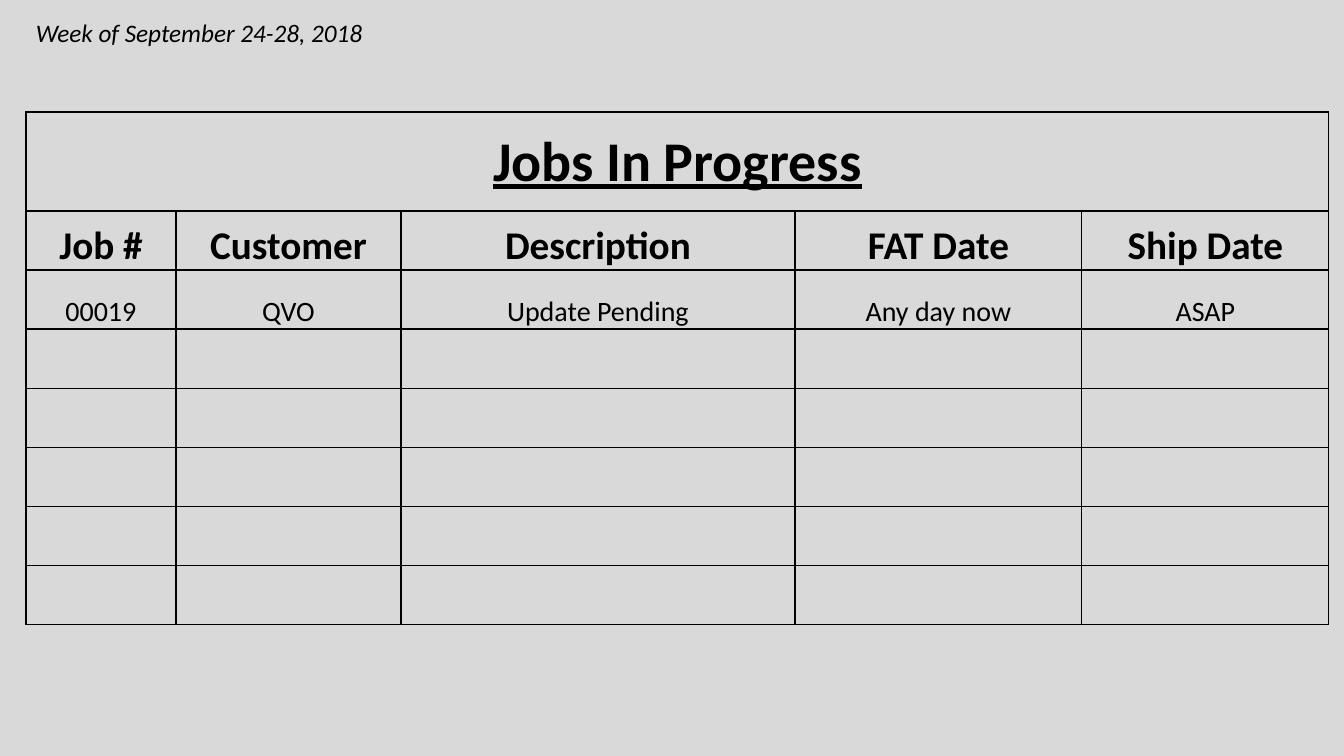
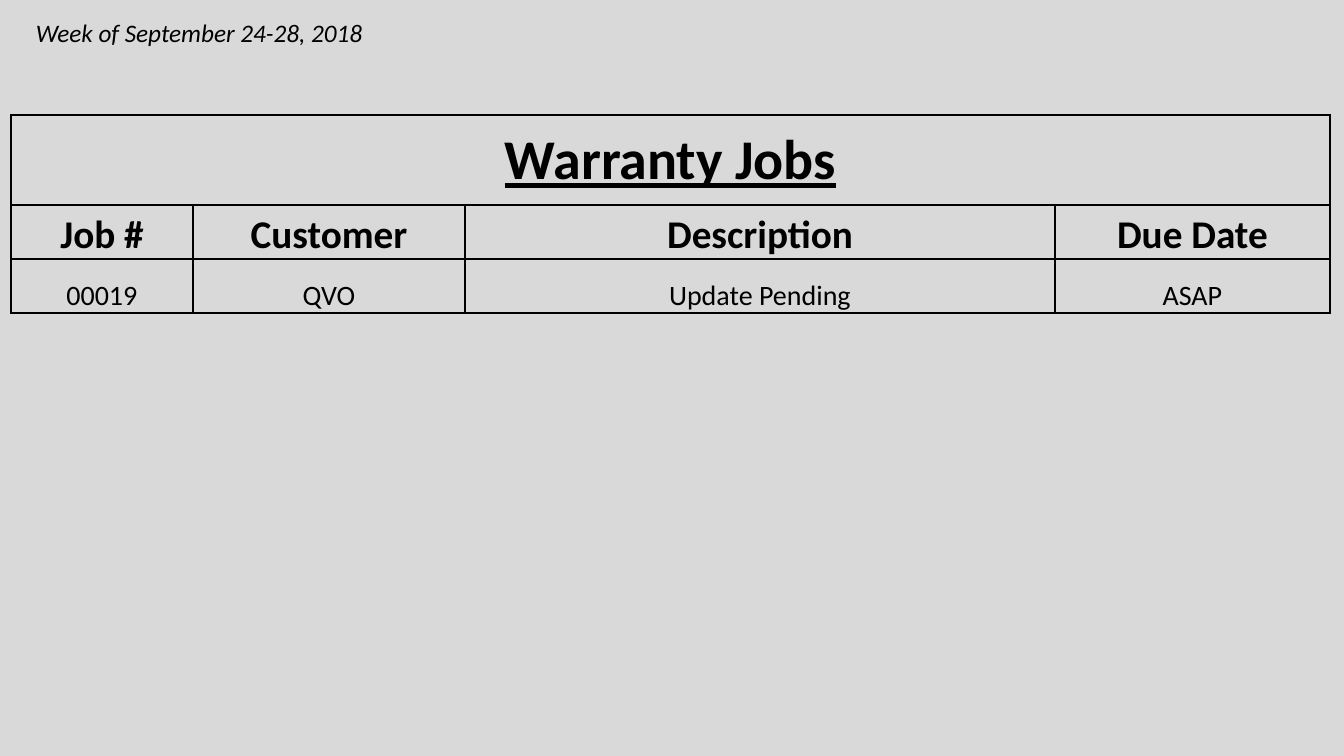
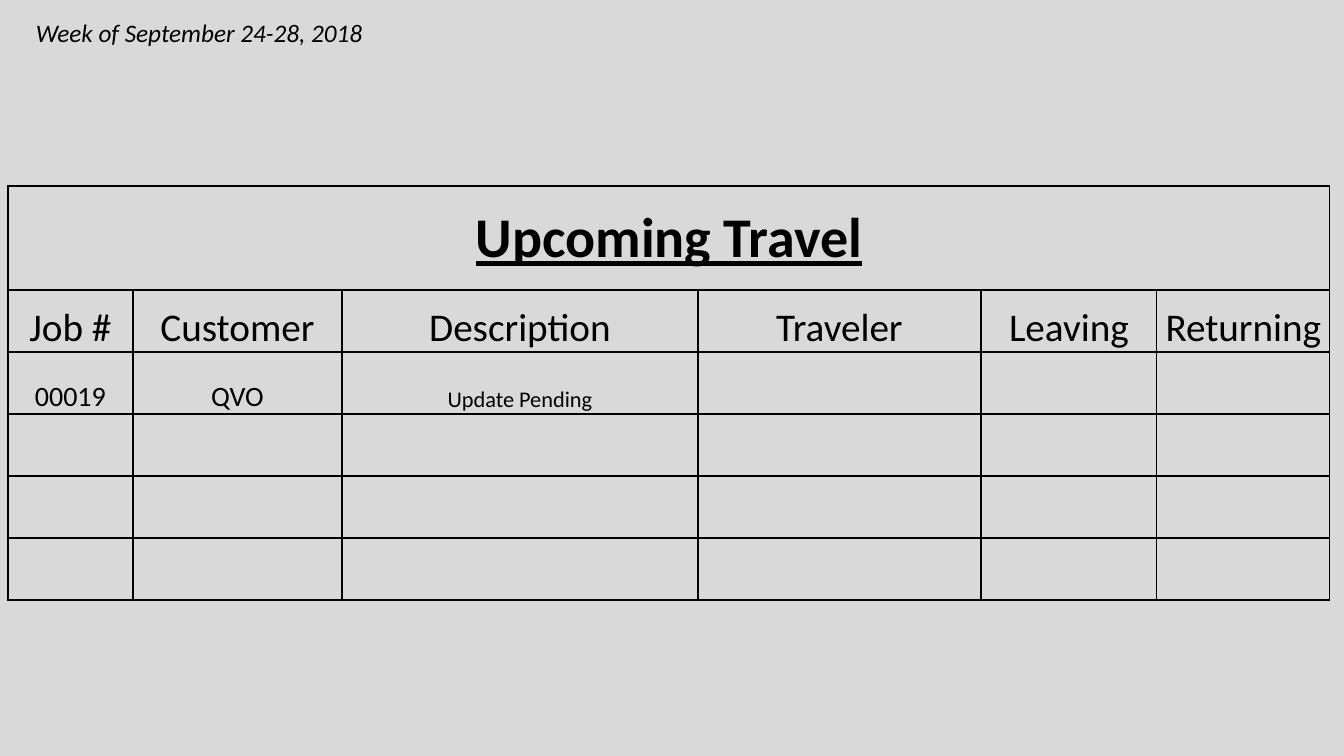
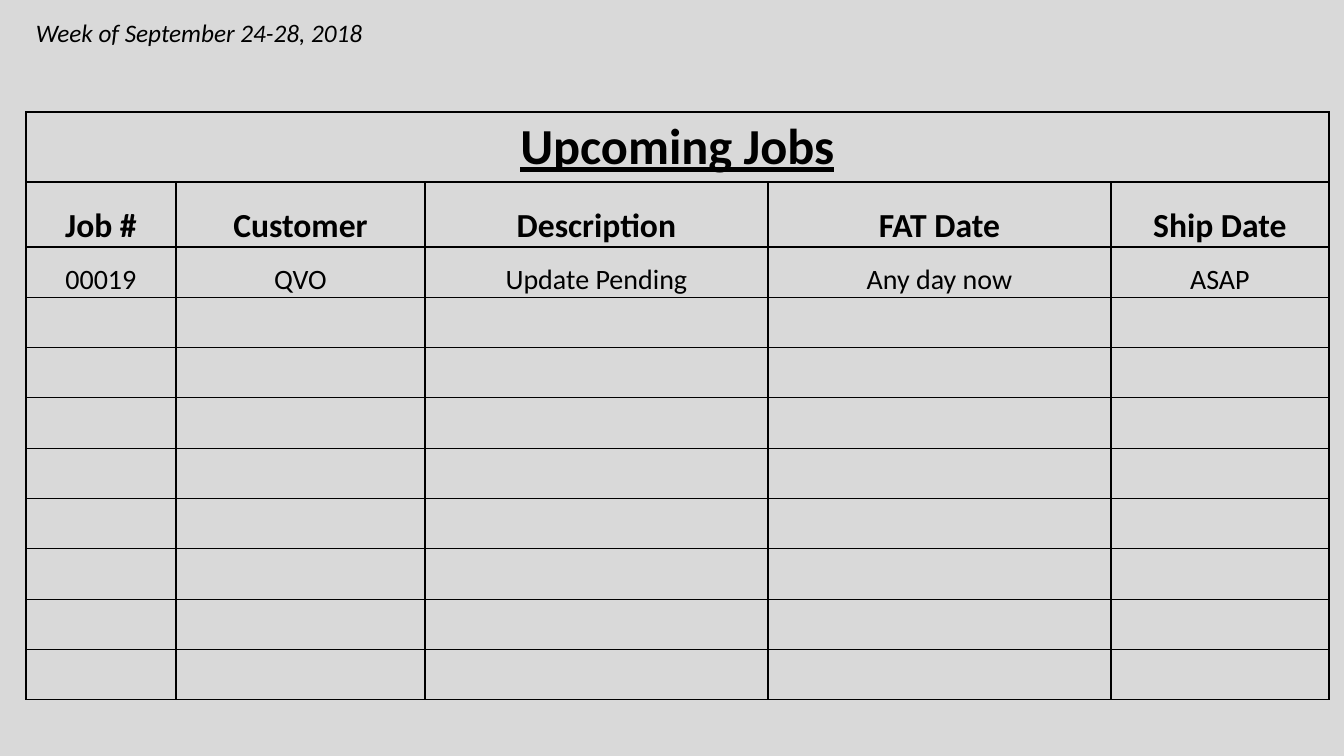
from lxml import etree
from pptx import Presentation
from pptx import util as u
from pptx.dml.color import RGBColor
from pptx.enum import text
from pptx.oxml.ns import qn

# Shared style
PX = 914400 / 100.8
COLORS = {"background": "D9D9D9", "ink": "000000"}
FONT = "Calibri"
BORDER_PT = 1
CELL_MARGINS = {"margin_left": 1, "margin_right": 1, "margin_top": 1, "margin_bottom": 0}
WEEK = "Week of September 24-28, 2018"
WEEK_BOX = (26, 12, 433, 40)

# Content: widths and heights in px; body height is shared equally by body_rows
JOB = ("00019", "QVO", "Update Pending")
SLIDES = [
    {"title": "Jobs In Progress", "at": (26, 112), "cols": (150, 225, 394, 287, 247),
     "title_h": 99, "header_h": 59, "body_h": 355, "body_rows": 6,
     "header": ("Job #", "Customer", "Description", "FAT Date", "Ship Date"),
     "job": (*JOB, "Any day now", "ASAP")},
    {"title": "Warranty Jobs", "at": (11, 115), "cols": (182, 272, 590, 275),
     "title_h": 90, "header_h": 54, "body_h": 54, "body_rows": 1,
     "header": ("Job #", "Customer", "Description", "Due Date"),
     "job": (*JOB, "ASAP")},
    {"title": "Upcoming Travel", "at": (8, 186), "cols": (125, 209, 356, 283, 176, 173),
     "title_h": 104, "header_h": 62, "body_h": 248, "body_rows": 4,
     "header": ("Job #", "Customer", "Description", "Traveler", "Leaving", "Returning"),
     "job": JOB,
     "header_bold": False, "small": {"Update Pending": 16}},
    {"title": "Upcoming Jobs", "at": (26, 112), "cols": (150, 249, 343, 343, 218),
     "title_h": 70, "header_h": 65, "body_h": 453, "body_rows": 9,
     "header": ("Job #", "Customer", "Description", "FAT Date", "Ship Date"),
     "job": (*JOB, "Any day now", "ASAP"),
     "title_size": 36, "header_size": 24},
]


def px(n):
    return u.Emu(round(n * PX))


def write(tf, words, **fmt):
    p = tf.paragraphs[0]
    r = p.add_run()
    r.text = words
    r.font.color.rgb = RGBColor.from_string(COLORS["ink"])
    for name, value in {"name": FONT, **fmt}.items():
        setattr(r.font, name, value)
    return p


def style_cell(cell):
    for name, value in CELL_MARGINS.items():
        setattr(cell, name, px(value))
    tcPr = cell._tc.get_or_add_tcPr()
    for side in ("lnL", "lnR", "lnT", "lnB"):
        ln = etree.SubElement(tcPr, qn("a:" + side), w=str(u.Pt(BORDER_PT)))
        fill = etree.SubElement(ln, qn("a:solidFill"))
        etree.SubElement(fill, qn("a:srgbClr"), val=COLORS["ink"])
    cell.fill.background()


def fill_cell(cell, words, anchor, **fmt):
    cell.vertical_anchor = anchor
    write(cell.text_frame, words, **fmt).alignment = text.PP_ALIGN.CENTER


def add_week(s):
    tf = s.shapes.add_textbox(*map(px, WEEK_BOX)).text_frame
    tf.word_wrap = True
    tf.auto_size = text.MSO_AUTO_SIZE.SHAPE_TO_FIT_TEXT
    write(tf, WEEK, size=u.Pt(18), italic=True)


def add_jobs_table(s, d):
    n = d["body_rows"]
    heights = [d["title_h"], d["header_h"]] + [d["body_h"] / n] * n
    box = (*d["at"], sum(d["cols"]), sum(heights))
    table = s.shapes.add_table(len(heights), len(d["cols"]), *map(px, box)).table
    table.first_row = table.horz_banding = False
    for col, w in zip(table.columns, d["cols"]):
        col.width = px(w)
    for row, h in zip(table.rows, heights):
        row.height = px(h)
    for cell in table.iter_cells():
        style_cell(cell)

    # Title across all columns
    title = table.cell(0, 0)
    title.merge(table.cell(0, len(d["cols"]) - 1))
    fill_cell(title, d["title"], text.MSO_ANCHOR.MIDDLE,
              size=u.Pt(d.get("title_size", 40)), bold=True, underline=True)

    # Column heads and the first job
    for i, words in enumerate(d["header"]):
        fill_cell(table.cell(1, i), words, text.MSO_ANCHOR.BOTTOM,
                  size=u.Pt(d.get("header_size", 28)), bold=d.get("header_bold", True))
    for i, words in enumerate(d["job"]):
        fill_cell(table.cell(2, i), words, text.MSO_ANCHOR.BOTTOM,
                  size=u.Pt(d.get("small", {}).get(words, 20)), bold=False)


def main():
    prs = Presentation()
    prs.slide_width, prs.slide_height = px(1344), px(756)
    for d in SLIDES:
        s = prs.slides.add_slide(prs.slide_layouts[6])
        s.background.fill.solid()
        s.background.fill.fore_color.rgb = RGBColor.from_string(COLORS["background"])
        add_jobs_table(s, d)
        add_week(s)
    prs.save("out.pptx")


if __name__ == "__main__":
    main()
